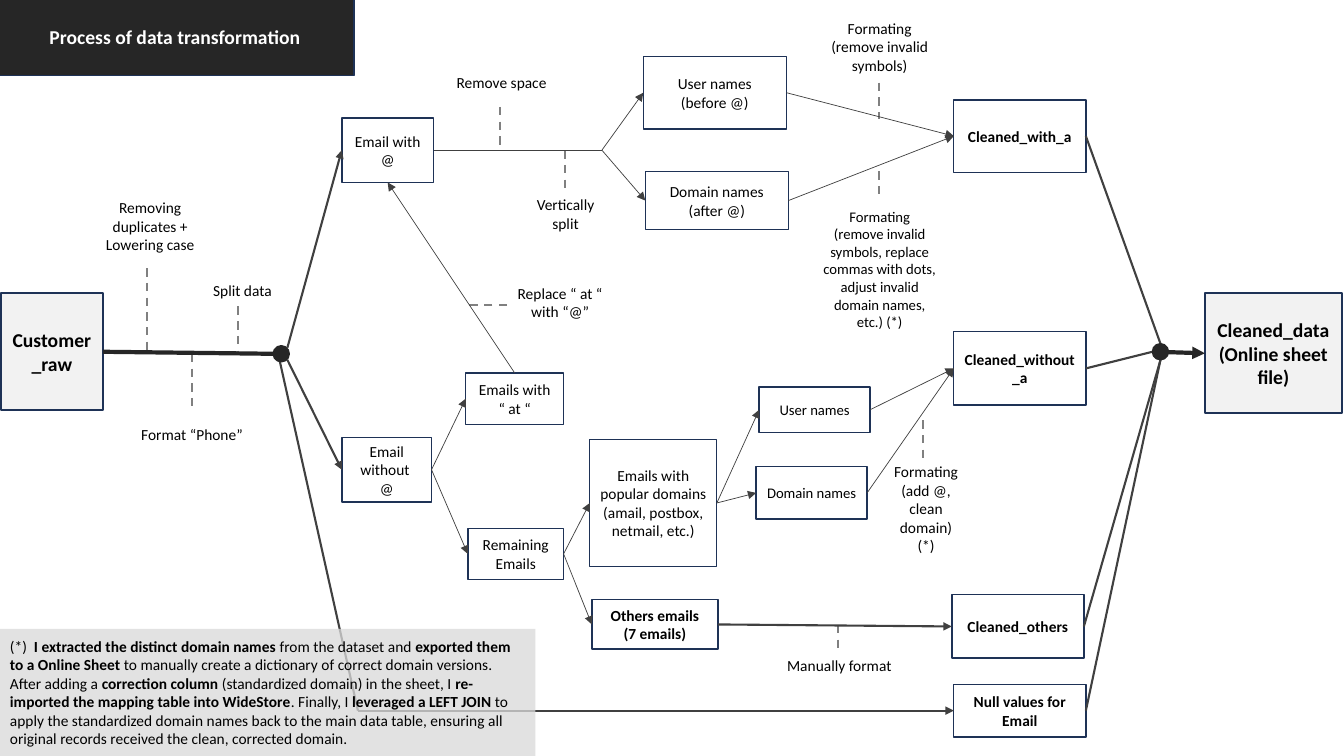
from lxml import etree
from pptx import Presentation
from pptx.dml.color import RGBColor
from pptx.enum.dml import MSO_LINE
from pptx.enum.shapes import MSO_CONNECTOR, MSO_SHAPE
from pptx.enum.text import MSO_ANCHOR, MSO_AUTO_SIZE, PP_ALIGN
from pptx.oxml.ns import qn
from pptx.util import Inches, Pt

STRAIGHT = MSO_CONNECTOR.STRAIGHT
RECT, OVAL = MSO_SHAPE.RECTANGLE, MSO_SHAPE.OVAL
DASH = MSO_LINE.DASH
MIDDLE = MSO_ANCHOR.MIDDLE
CENTER, LEFT_ALIGN = PP_ALIGN.CENTER, PP_ALIGN.LEFT
NO_AUTOFIT = MSO_AUTO_SIZE.NONE
TOP, LEFT, BOTTOM, RIGHT = range(4)

FONT = "Calibri"
COLORS = {"navy": "1E3256", "dark": "262626", "arrow": "404040", "dash": "808080",
          "pale": "F2F2F2", "note": "D9D9D9", "black": "000000", "white": "FFFFFF"}

TITLE = ("Process of data transformation", (-0.04, -0.03, 3.55, 0.78))

# name: (text, (left, top, width, height), size, bold)
STEPS = {
    "email_at": ("Email with @", (3.39, 1.17, 0.91, 0.64), 11, False),
    "email_no_at": ("Email without  @", (3.39, 4.34, 0.89, 0.64), 11, False),
    "word_at": ("Emails with “ at “", (4.62, 3.7, 0.97, 0.51), 11, False),
    "remaining": ("Remaining Emails", (4.64, 5.24, 0.95, 0.51), 11, False),
    "popular": ("Emails with popular domains (amail, postbox, netmail, etc.)",
                (5.85, 4.36, 1.26, 1.26), 11, False),
    "others": ("Others emails\n(7 emails)", (5.87, 5.95, 1.25, 0.49), 11, True),
    "users_at": ("User names (before @)", (6.38, 0.56, 1.42, 0.72), 11, False),
    "domains_at": ("Domain names (after @)", (6.4, 1.7, 1.42, 0.58), 11, False),
    "users": ("User names", (7.53, 3.84, 1.1, 0.45), 10.5, False),
    "domains": ("Domain names", (7.5, 4.63, 1.1, 0.52), 10.5, False),
    "clean_at": ("Cleaned_with_a", (9.46, 0.99, 1.31, 0.72), 11, True),
    "clean_no_at": ("Cleaned_without_a", (9.46, 3.29, 1.31, 0.73), 11, True),
    "clean_others": ("Cleaned_others", (9.44, 5.9, 1.31, 0.63), 11, True),
    "nulls": ("Null values for Email", (9.46, 6.79, 1.31, 0.52), 11, True),
}
TABLES = {
    "raw": ("Customer_raw", (0.01, 2.91, 1.01, 1.16), 14, True),
    "clean": ("Cleaned_data (Online sheet file)", (11.95, 2.91, 1.36, 1.19), 14, True),
}
LABELS = [
    ("Removing duplicates + Lowering case", (0.82, 1.91, 1.34, 0.67), 11),
    ("Split data", (1.95, 2.67, 0.91, 0.43), 11),
    ("Format “Phone”", (1.15, 4.1, 1.51, 0.41), 11),
    ("Remove space", (4.31, 0.57, 1.33, 0.5), 11),
    ("Vertically split", (5.16, 1.87, 0.9, 0.5), 11),
    ("Replace “ at “ with “@”", (4.91, 2.66, 1.29, 0.68), 11),
    ("Formating\n(remove invalid symbols)", (8.09, 0.1, 1.27, 0.72), 11),
    ("Formating\n(remove invalid symbols, replace commas with dots, "
     "adjust invalid domain names, etc.) (*)", (8.03, 1.99, 1.39, 1.36), 10.5),
    ("Formating (add @, clean domain) (*)", (8.75, 4.73, 0.87, 0.63), 11),
    ("Manually format", (7.63, 6.4, 1.39, 0.4), 11),
]
# (x, y, dx, dy) of the dashed ticks between a label and its line
TICKS = [
    (1.46, 2.66, 0, 0.85), (2.36, 3.04, 0, 0.47), (1.9, 3.51, 0, 0.56),
    (4.96, 1.06, 0, 0.42), (5.6, 1.49, 0, 0.38), (5.03, 3.03, -0.39, 0),
    (8.72, 0.82, 0, 0.36), (8.72, 1.7, 0, 0.27), (9.15, 4.17, 0, 0.4),
    (8.31, 6.2, 0, 0.25),
]
DOTS = [(2.71, 3.43), (11.43, 3.41)]
DOT_SIZE = 0.16
SPLIT, BEND, MERGE = (5.97, 1.49), (3.55, 7.05), (11.51, 3.57)

# An end is a point or a (box name, side) pair
THIN_ARROWS = [
    (("word_at", TOP), ("email_at", BOTTOM)),
    (("email_no_at", RIGHT), ("word_at", LEFT)),
    (("email_no_at", RIGHT), ("remaining", LEFT)),
    (("remaining", RIGHT), ("popular", LEFT)),
    (("remaining", RIGHT), ("others", LEFT)),
    (SPLIT, ("users_at", LEFT)),
    (SPLIT, ("domains_at", LEFT)),
    (("popular", RIGHT), ("users", LEFT)),
    (("popular", RIGHT), ("domains", LEFT)),
    (("users", RIGHT), ("clean_no_at", LEFT)),
    (("domains", RIGHT), ("clean_no_at", LEFT)),
    (("users_at", RIGHT), ("clean_at", LEFT)),
    (("domains_at", RIGHT), ("clean_at", LEFT)),
]
THIN_LINES = [(("email_at", RIGHT), SPLIT)]
ARROWS = [
    ((2.85, 3.45), ("email_at", LEFT)),
    ((2.85, 3.57), ("email_no_at", LEFT)),
    (BEND, ("nulls", LEFT)),
    (("others", RIGHT), ("clean_others", LEFT)),
]
LINES = [
    ((2.77, 3.56), BEND),
    (("clean_at", RIGHT), (11.51, 3.41)),
    (("clean_no_at", RIGHT), (11.43, 3.49)),
    (("clean_others", RIGHT), MERGE),
    (("nulls", RIGHT), MERGE),
]
THICK_LINES = [(("raw", RIGHT), (2.71, 3.51))]
THICK_ARROWS = [((11.47, 3.49), ("clean", LEFT))]

NOTE_AT = (0, 6.24, 5.31, 1.26)
NOTE_ALPHA = 76
NOTE = [  # (text, bold)
    ("(*)  ", False), ("I extracted the distinct domain names", True),
    (" from the dataset and ", False), ("exported them to a Online Sheet", True),
    (" to manually create a dictionary of correct domain versions. After adding a ", False),
    ("correction column", True), (" (standardized domain) in the sheet, I ", False),
    ("re-imported the mapping table into WideStore", True), (". Finally, I ", False),
    ("leveraged a LEFT JOIN", True),
    (" to apply the standardized domain names back to the main data table, "
     "ensuring all original records received the clean, corrected domain.", False),
]


def rgb(name):
    return RGBColor.from_string(COLORS[name])


def inches(values):
    return [Inches(v) for v in values]


def style_run(r, size, bold=False, color="black"):
    r.font.name, r.font.size, r.font.bold = FONT, Pt(size), bold
    r.font.color.rgb = rgb(color)


def set_text(sp, text, size, bold=False, color="black"):
    tf = sp.text_frame
    tf.text, tf.word_wrap, tf.vertical_anchor = text, True, MIDDLE
    tf.auto_size = NO_AUTOFIT
    for p in tf.paragraphs:
        p.alignment = CENTER
        for r in p.runs:
            style_run(r, size, bold, color)


def paint(sp, fill=None, line=None, width=1):
    if fill:
        sp.fill.solid()
        sp.fill.fore_color.rgb = rgb(fill)
    else:
        sp.fill.background()
    if line:
        sp.line.color.rgb, sp.line.width = rgb(line), Pt(width)
    else:
        sp.line.fill.background()


def add_shape(slide, kind, at, **look):
    sp = slide.shapes.add_shape(kind, *inches(at))
    sp.shadow.inherit = False
    paint(sp, **look)
    return sp


def add_line(slide, boxes, start, end, color, width, arrow=False):
    """Draw a straight connector, joined to a box wherever an end names one."""
    joined = [e[0] in boxes for e in (start, end)]
    points = [(0, 0) if j else e for j, e in zip(joined, (start, end))]
    c = slide.shapes.add_connector(STRAIGHT, *inches(points[0] + points[1]))
    if joined[0]:
        c.begin_connect(boxes[start[0]], start[1])
    if joined[1]:
        c.end_connect(boxes[end[0]], end[1])
    c.line.color.rgb, c.line.width = rgb(color), Pt(width)
    if arrow:
        etree.SubElement(c.line._get_or_add_ln(), qn("a:tailEnd"), type="triangle")
    etree.SubElement(c._element.spPr, qn("a:effectLst"))
    return c


def main():
    prs = Presentation()
    prs.slide_width, prs.slide_height = Inches(13.33), Inches(7.5)
    slide = prs.slides.add_slide(prs.slide_layouts[5])

    title = slide.shapes.title
    title.left, title.top, title.width, title.height = inches(TITLE[1])
    paint(title, "dark", "navy")
    set_text(title, TITLE[0], 14, True, "white")

    boxes = {}
    for group, fill, width in ((STEPS, None, 1), (TABLES, "pale", 1.5)):
        for name, (text, at, size, bold) in group.items():
            boxes[name] = add_shape(slide, RECT, at, fill=fill, line="navy", width=width)
            set_text(boxes[name], text, size, bold)

    for text, at, size in LABELS:
        set_text(slide.shapes.add_textbox(*inches(at)), text, size)

    for x, y, dx, dy in TICKS:
        tick = add_line(slide, boxes, (x, y), (x + dx, y + dy), "dash", 1.5)
        tick.line.dash_style = DASH

    for links, color, width, arrow in (
            (THIN_ARROWS, "arrow", 0.5, True), (THIN_LINES, "arrow", 0.5, False),
            (ARROWS, "arrow", 1.5, True), (LINES, "arrow", 1.5, False),
            (THICK_LINES, "dark", 3, False), (THICK_ARROWS, "dark", 3, True)):
        for start, end in links:
            add_line(slide, boxes, start, end, color, width, arrow)

    for x, y in DOTS:
        add_shape(slide, OVAL, (x, y, DOT_SIZE, DOT_SIZE), fill="dark", line="dark")

    note = add_shape(slide, RECT, NOTE_AT, fill="note")
    srgb = note._element.spPr.find(qn("a:solidFill")).find(qn("a:srgbClr"))
    etree.SubElement(srgb, qn("a:alpha"), val=str(NOTE_ALPHA * 1000))
    note.text_frame.word_wrap, note.text_frame.vertical_anchor = True, MIDDLE
    p = note.text_frame.paragraphs[0]
    p.alignment = LEFT_ALIGN
    for text, bold in NOTE:
        r = p.add_run()
        r.text = text
        style_run(r, 11, bold)

    prs.save("out.pptx")


if __name__ == "__main__":
    main()
